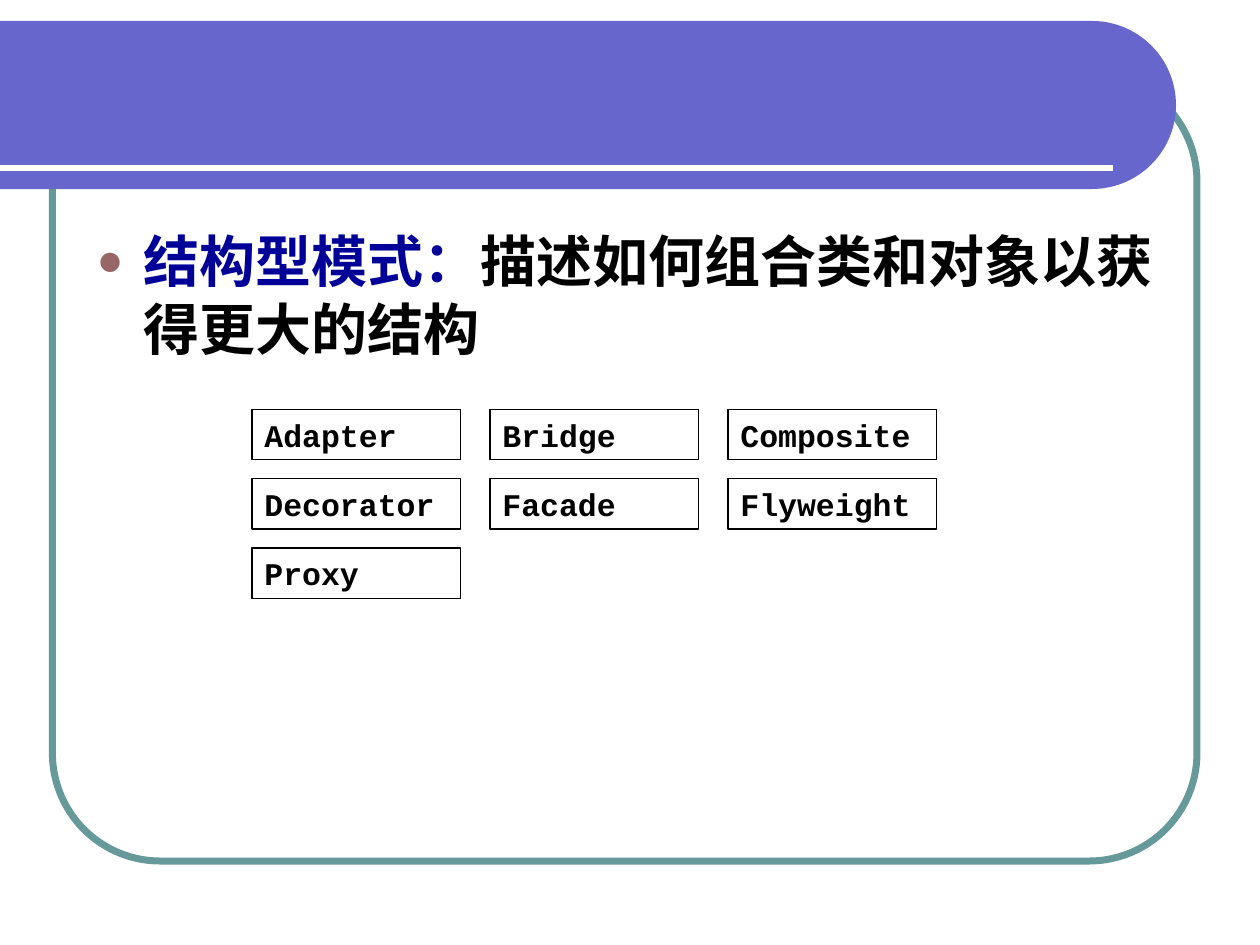
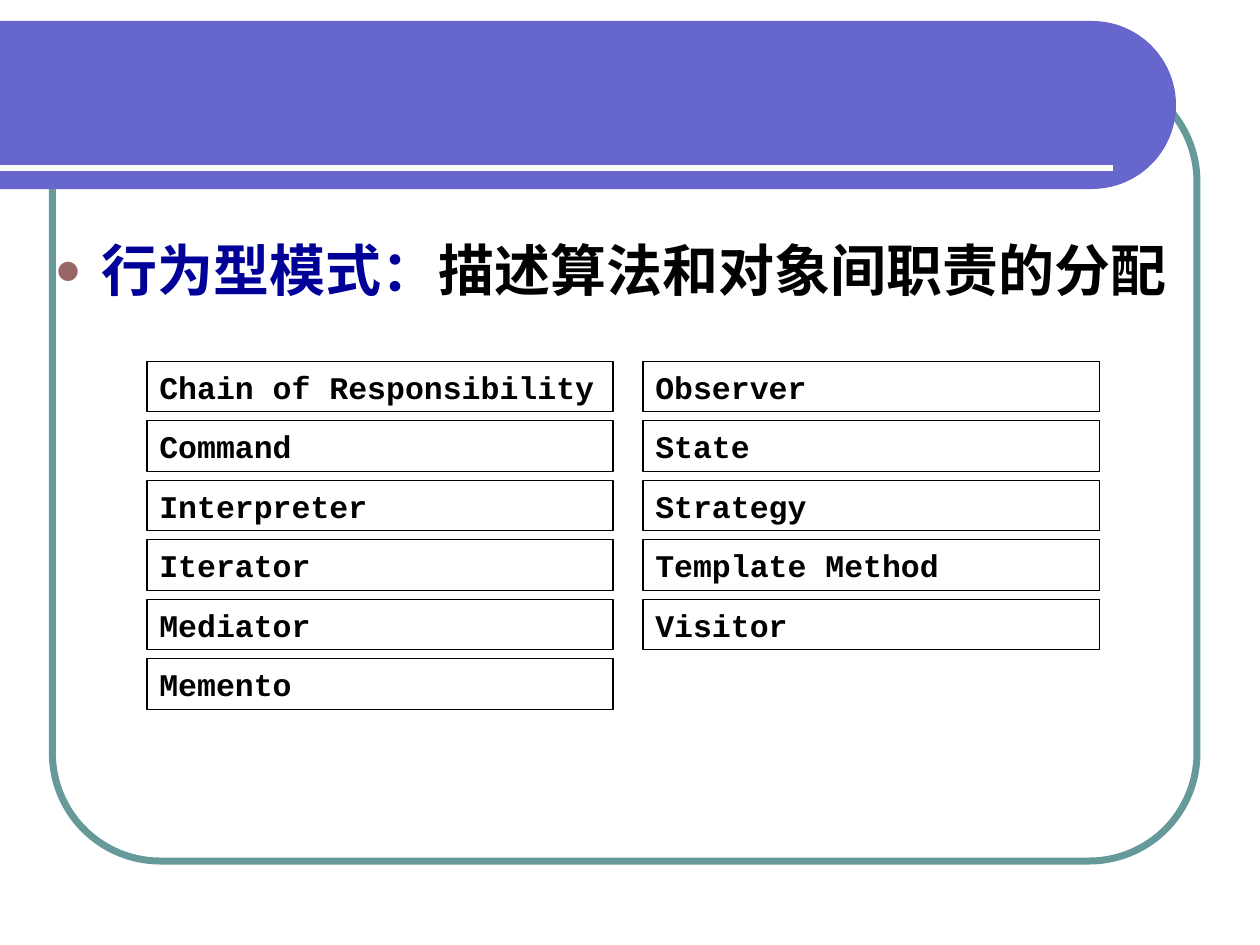
from math import cos, sin, radians
from lxml.etree import SubElement as Sub
from pptx import Presentation
from pptx.dml.color import RGBColor as RGB
from pptx.enum.shapes import MSO_CONNECTOR as Conn, MSO_SHAPE as Kind
from pptx.enum.text import MSO_ANCHOR as Anchor, MSO_AUTO_SIZE as Auto, PP_ALIGN as Align
from pptx.oxml.ns import qn
from pptx.util import Pt

# Content: body is left, top, width, height; white is the number of filled rows
SLIDES = [
    dict(
        body=(48, 126, 624, 348),
        lead="结构型模式：", text="描述如何组合类和对象以获得更大的结构",
        left=144, top=234, step=39.6, widths=(119, 119, 119), white=3,
        rows=[
            ("Adapter", "Bridge", "Composite"),
            ("Decorator", "Facade", "Flyweight"),
            ("Proxy",),
        ],
    ),
    dict(
        body=(24, 131, 654, 348),
        lead="行为型模式：", text="描述算法和对象间职责的分配",
        left=84, top=206.5, step=34, widths=(266.4, 261), white=1,
        rows=[
            ("Chain of Responsibility", "Observer"),
            ("Command", "State"),
            ("Interpreter", "Strategy"),
            ("Iterator", "Template Method"),
            ("Mediator", "Visitor"),
            ("Memento",),
        ],
    ),
]
HEX = dict(frame="669999", band="6666CC", white="FFFFFF",
           lead="000099", ink="000000", dot="996666")
BOX_H, GAP = 28.8, 17
BAND_X, BAND_Y, BAND_R = 624, 60, 48   # centre and radius of the round end


def tint(name):
    return RGB.from_string(HEX[name])


def pts(*nums):
    return [Pt(n) for n in nums]


def paint(shape, fill=None, line=None, width=0.75):
    shape.shadow.inherit = False
    if fill:
        shape.fill.solid()
        shape.fill.fore_color.rgb = tint(fill)
    else:
        shape.fill.background()
    if line:
        shape.line.color.rgb = tint(line)
        shape.line.width = Pt(width)
    else:
        shape.line.fill.background()


def add_run(para, text, face, size, color):
    run = para.add_run()
    run.text = text
    run.font.name, run.font.size, run.font.bold = face, Pt(size), True
    run.font.color.rgb = tint(color)


# Frame, round-ended band and rule shared by all slides
def add_decor(shapes):
    frame = shapes.add_shape(Kind.ROUNDED_RECTANGLE, *pts(30, 42, 654, 450))
    frame.adjustments[0] = 0.137
    paint(frame, line="frame", width=4)

    arc = [(BAND_X + BAND_R * cos(radians(a)), BAND_Y + BAND_R * sin(radians(a)))
           for a in range(-90, 91, 3)]
    edge = [pts(*spot) for spot in arc + [(0, BAND_Y + BAND_R)]]
    pen = shapes.build_freeform(0, Pt(BAND_Y - BAND_R))
    pen.add_line_segments(edge, close=True)
    paint(pen.convert_to_shape(), fill="band")

    rule = shapes.add_connector(Conn.STRAIGHT, *pts(0, 96, 636, 96))
    rule.line.color.rgb = tint("white")
    rule.line.width = Pt(3)
    Sub(rule._element.spPr, qn("a:effectLst"))


# Bulleted definition in the body placeholder
def add_lead(body, item):
    body.left, body.top, body.width, body.height = pts(*item["body"])
    para = body.text_frame.paragraphs[0]
    props = para._p.get_or_add_pPr()
    props.set("marL", str(Pt(27)))
    props.set("indent", str(Pt(-27)))
    dot = Sub(props, qn("a:buClr"))
    Sub(dot, qn("a:srgbClr"), val=HEX["dot"])
    Sub(props, qn("a:buSzPct"), val="80000")
    Sub(props, qn("a:buFont"), typeface="Arial")
    Sub(props, qn("a:buChar"), char="●")
    para.space_before = Pt(0)
    add_run(para, item["lead"], "Arial", 32, "lead")
    add_run(para, item["text"], "Arial", 32, "ink")


# Grid of pattern names
def add_grid(shapes, item):
    for row, names in enumerate(item["rows"]):
        x, y = item["left"], item["top"] + row * item["step"]
        for name, width in zip(names, item["widths"]):
            box = shapes.add_shape(Kind.RECTANGLE, *pts(x, y, width, BOX_H))
            paint(box, fill="white" if row < item["white"] else None, line="ink")
            frame = box.text_frame
            frame.word_wrap = True
            frame.auto_size = Auto.SHAPE_TO_FIT_TEXT
            frame.vertical_anchor = Anchor.TOP
            para = frame.paragraphs[0]
            para.alignment = Align.LEFT
            add_run(para, name, "Courier New", 18, "ink")
            x += width + GAP


def main():
    deck = Presentation()
    deck.slide_width, deck.slide_height = pts(720, 540)
    for item in SLIDES:
        slide = deck.slides.add_slide(deck.slide_layouts[1])
        title = slide.shapes.title._element
        title.getparent().remove(title)
        add_decor(slide.shapes)
        add_lead(slide.placeholders[1], item)
        add_grid(slide.shapes, item)
    deck.save("out.pptx")


if __name__ == "__main__":
    main()
